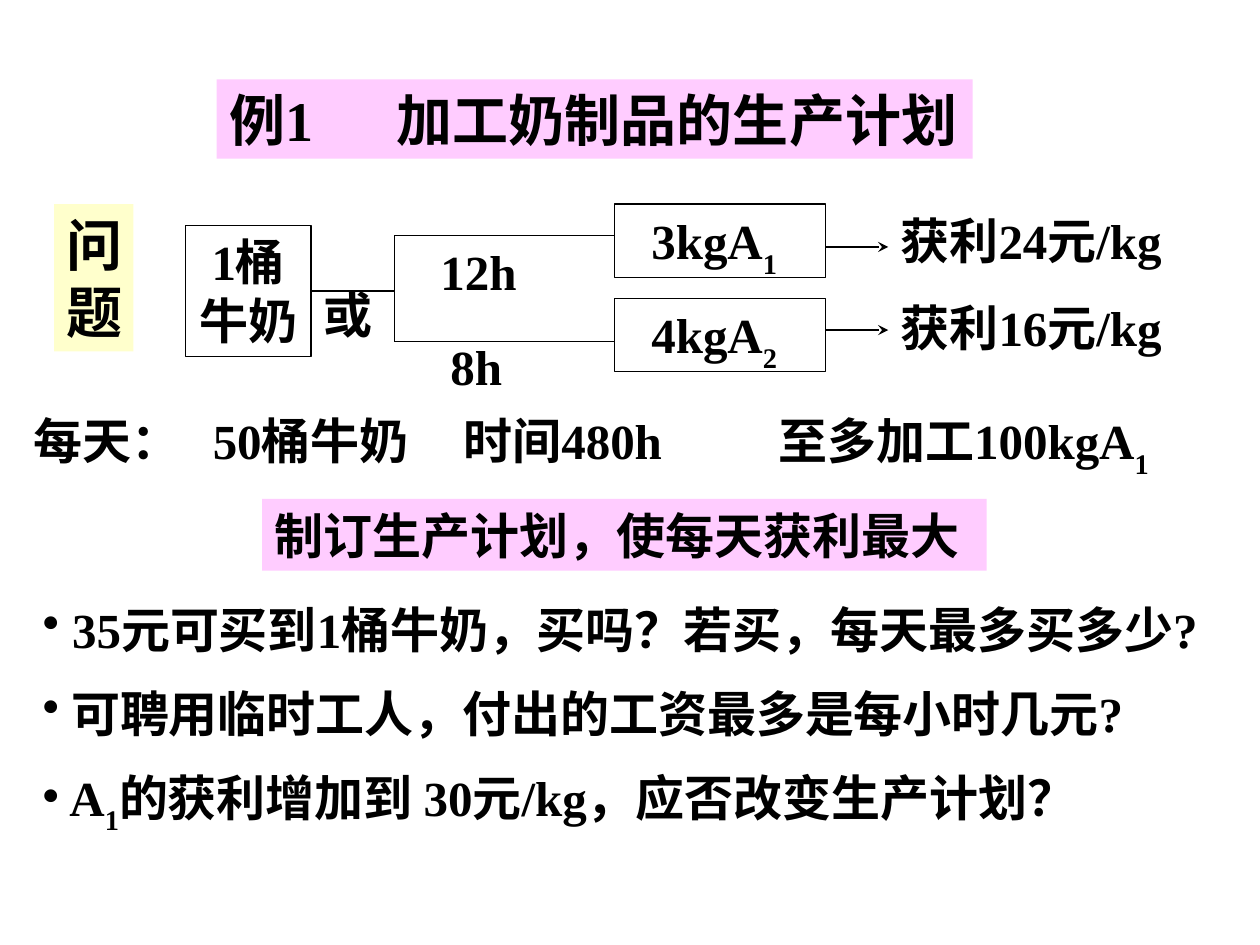
import pptx
import pptx.util
import pptx.dml.color
import pptx.enum.shapes
import pptx.enum.text
import pptx.oxml.ns
from lxml import etree

Inches, Pt = pptx.util.Inches, pptx.util.Pt
COLORS = {"ink": "000000", "pink": "FFCCFF", "cream": "FFFFCC"}
SERIF, SANS = "Times New Roman", "Noto Sans CJK SC"
LINE_HEIGHT = 0.57
TITLE = "例1\t加工奶制品的生产计划"
PRODUCTS = [
    (1.62, "3kgA", "1", 1.62, "获利24元/kg", 1.96),
    (2.37, "4kgA", "2", 2.31, "获利16元/kg", 2.62),
]
LABELS = [
    (3.3, 1.87, 1.42, [" 12h"]),
    (3.38, 2.62, 1.25, [" 8h"]),
    (2.47, 2.21, 0.58, ["或"]),
    (0.17, 3.21, 1.37, ["每天："]),
    (1.59, 3.21, 1.92, ["50桶牛奶"]),
    (3.58, 3.21, 2.42, ["时间480h"]),
    (6.08, 3.21, 3.58, ["至多加工100kgA", "1"]),
]
QUESTIONS = [
    [" 35元可买到1桶牛奶，买吗？若买，每天最多买多少?"],
    [" 可聘用临时工人，付出的工资最多是每小时几元?"],
    [" A", "1", "的获利增加到 30元/kg，应否改变生产计划？"],
]
QUESTION_TOP, QUESTION_STEP = 4.71, 0.665
BRANCH_LEFT, BRANCH_RIGHT, BRANCH_TOP, BRANCH_BOTTOM = 3.13, 4.88, 1.87, 2.71


def rgb(name):
    return pptx.dml.color.RGBColor.from_string(COLORS[name])


def add_xml(parent, tag, **attributes):
    return etree.SubElement(parent, pptx.oxml.ns.qn(tag), attributes)


def write(box, parts, size=28, font=SERIF, align="LEFT"):
    """Fill a box with runs, every second one a subscript."""
    frame = box.text_frame
    frame.word_wrap = True
    frame.vertical_anchor = pptx.enum.text.MSO_ANCHOR.TOP
    para = frame.paragraphs[0]
    para.alignment = getattr(pptx.enum.text.PP_ALIGN, align)
    para.font.name, para.font.size, para.font.bold = font, Pt(size), True
    para.font.color.rgb = rgb("ink")
    for index, part in enumerate(parts):
        span = para.add_run()
        span.text = part
        if index % 2:
            span.font._element.set("baseline", "-30000")
    return para


def add_label(page, left, top, width, parts):
    box = page.shapes.add_textbox(
        Inches(left), Inches(top), Inches(width), Inches(LINE_HEIGHT))
    return box, write(box, parts)


def add_box(page, left, top, width, height, parts, fill=None, **style):
    box = page.shapes.add_shape(
        pptx.enum.shapes.MSO_SHAPE.RECTANGLE,
        Inches(left), Inches(top), Inches(width), Inches(height))
    box.shadow.inherit = False
    if fill:
        box.fill.solid()
        box.fill.fore_color.rgb = rgb(fill)
        box.line.fill.background()
    else:
        box.fill.background()
        box.line.color.rgb = rgb("ink")
        box.line.width = Pt(0.75)
    write(box, parts, **style)
    return box


def add_line(page, left, top, right, bottom, arrow=False):
    line = page.shapes.add_connector(
        pptx.enum.shapes.MSO_CONNECTOR.STRAIGHT,
        Inches(left), Inches(top), Inches(right), Inches(bottom))
    line.line.color.rgb = rgb("ink")
    line.line.width = Pt(0.75)
    if arrow:
        add_xml(line.line._get_or_add_ln(), "a:tailEnd", type="stealth")
    add_xml(line._element.spPr, "a:effectLst")
    return line


def add_title(page):
    title = page.shapes.title
    title.left, title.top = Inches(1.72), Inches(0.63)
    title.width, title.height = Inches(6), Inches(0.63)
    title.fill.solid()
    title.fill.fore_color.rgb = rgb("pink")
    para = write(title, [TITLE], size=32)
    properties = para._p.get_or_add_pPr()
    tabs = etree.Element(pptx.oxml.ns.qn("a:tabLst"))
    add_xml(tabs, "a:tab", pos=str(Inches(1.33)), algn="l")
    properties.insert(len(properties) - 1, tabs)


def add_diagram(page):
    milk = add_box(page, 1.47, 1.79, 1, 1.04, ["1桶牛奶 "], align="CENTER")
    trunk = add_line(page, 2.47, 2.31, BRANCH_LEFT, 2.31)
    trunk.begin_connect(milk, 3)
    add_line(page, BRANCH_LEFT, BRANCH_TOP, BRANCH_LEFT, BRANCH_BOTTOM)
    for level in (BRANCH_TOP, BRANCH_BOTTOM):
        add_line(page, BRANCH_LEFT, level, BRANCH_RIGHT, level)
    for top, name, index, profit_top, profit, arrow_level in PRODUCTS:
        product = add_box(page, BRANCH_RIGHT, top, 1.67, 0.58, [name, index])
        product.text_frame.margin_left = Inches(0.29)
        add_line(page, 6.55, arrow_level, 7.05, arrow_level, arrow=True)
        add_label(page, 7.05, profit_top, 2.83, [profit])


def add_questions(page):
    for index, parts in enumerate(QUESTIONS):
        top = QUESTION_TOP + index * QUESTION_STEP
        box, para = add_label(page, 0.24, top, 9.7, parts)
        box.text_frame.margin_right = 0
        bullet = etree.Element(pptx.oxml.ns.qn("a:buChar"), char="•")
        properties = para._p.get_or_add_pPr()
        properties.insert(len(properties) - 1, bullet)


def main():
    deck = pptx.Presentation()
    deck.slide_width, deck.slide_height = Inches(10), Inches(7.5)
    page = deck.slides.add_slide(deck.slide_layouts[5])
    add_title(page)
    add_diagram(page)
    for left, top, width, parts in LABELS:
        add_label(page, left, top, width, parts)
    add_box(page, 2.08, 3.96, 5.75, LINE_HEIGHT,
            ["制订生产计划，使每天获利最大"], fill="pink", font=SANS)
    add_questions(page)
    add_box(page, 0.43, 1.62, 0.63, 1.17, ["问题"], fill="cream", size=32)
    deck.save("out.pptx")


if __name__ == "__main__":
    main()
